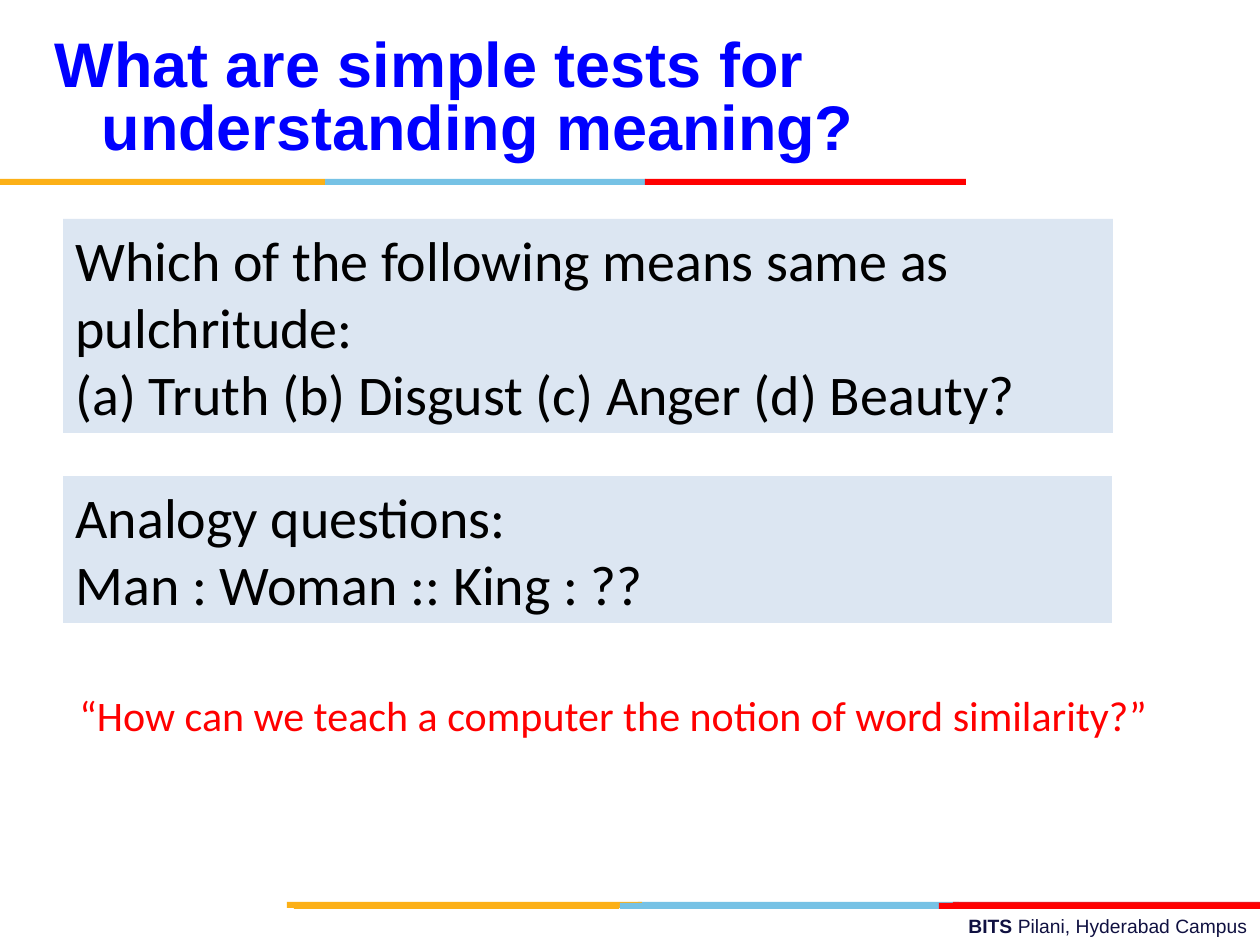
"""Build the slide on simple tests for understanding word meaning."""
from pptx import Presentation, util as u
from pptx.dml.color import RGBColor
from pptx.enum import shapes, text

BLUE = RGBColor(0x00, 0x00, 0xFF)
RED = RGBColor(0xFF, 0x00, 0x00)
CRIMSON = RGBColor(0xE3, 0x1C, 0x24)
SKY = RGBColor(0x76, 0xC2, 0xE5)
AMBER = RGBColor(0xFC, 0xB0, 0x17)
PALE = RGBColor(0xDC, 0xE6, 0xF2)
NAVY = RGBColor(0x10, 0x11, 0x41)
BLACK = RGBColor(0x00, 0x00, 0x00)

PX = 914400 / 126
BAR_HEIGHT = 6

TITLE = "What are simple tests for understanding meaning?"
TITLE_AREA = (42, 21, 872, 158)
TITLE_FONT = dict(name="Arial", size=u.Pt(36), bold=True)
HANGING = 47

BARS = [
    (902, [(638, 321, SKY), (953, 307, CRIMSON), (287, 355, AMBER)]),
    (903, [(620, 321, SKY), (294, 325, AMBER), (939, 321, RED)]),
    (179, [(325, 321, SKY), (0, 325, AMBER), (645, 321, RED)]),
]

QUESTION_FONT = dict(name="Calibri", size=u.Pt(32))
QUOTE_FONT = dict(name="Calibri", size=u.Pt(24))
FOOTER_FONT = dict(name="Arial", size=u.Pt(11))
LEFT, RIGHT = text.PP_ALIGN.LEFT, text.PP_ALIGN.RIGHT
BOXES = [
    ((451, 908, 809, 37), None, FOOTER_FONT, NAVY, RIGHT,
     [[("BITS ", True), ("Pilani, Hyderabad Campus", False)]]),
    ((63, 219, 1050, 214), PALE, QUESTION_FONT, BLACK, LEFT,
     [[("Which of the following means same as pulchritude:", False)],
      [("(a) Truth (b) Disgust (c) Anger (d) Beauty?", False)]]),
    ((63, 476, 1049, 147), PALE, QUESTION_FONT, BLACK, LEFT,
     [[("Analogy questions:", False)], [("Man : Woman :: King : ??", False)]]),
    ((67, 683, 1099, 63), None, QUOTE_FONT, RED, LEFT,
     [[("“How can we teach a computer the notion of word similarity?”", False)]]),
]


def scale(*lengths):
    return [round(length * PX) for length in lengths]


def set_all(target, values):
    for name, value in values.items():
        setattr(target, name, value)


def add_block(page, area, fill):
    block = page.shapes.add_shape(shapes.MSO_SHAPE.RECTANGLE, *scale(*area))
    block.shadow.inherit = False
    block.line.fill.background()
    block.fill.solid()
    block.fill.fore_color.rgb = fill
    return block


def add_words(page, area, fill, font, color, align, lines):
    box = add_block(page, area, fill) if fill else page.shapes.add_textbox(*scale(*area))
    frame = box.text_frame
    set_all(frame, dict(word_wrap=True, vertical_anchor=text.MSO_ANCHOR.TOP))
    for number, line in enumerate(lines):
        para = frame.add_paragraph() if number else frame.paragraphs[0]
        para.alignment = align
        for words, bold in line:
            span = para.add_run()
            span.text = words
            set_all(span.font, dict(font, bold=bold))
            span.font.color.rgb = color


def set_title(page):
    title = page.shapes.title
    set_all(title, dict(zip(("left", "top", "width", "height"), scale(*TITLE_AREA))))
    frame = title.text_frame
    frame.text = TITLE
    set_all(frame, dict(word_wrap=True, auto_size=text.MSO_AUTO_SIZE.NONE,
                        vertical_anchor=text.MSO_ANCHOR.MIDDLE))
    para = frame.paragraphs[0]
    set_all(para, dict(alignment=LEFT, line_spacing=u.Pt(36)))
    indent, = scale(HANGING)
    properties = para._p.get_or_add_pPr()
    properties.set("marL", str(indent))
    properties.set("indent", str(-indent))
    span = para.runs[0]
    set_all(span.font, TITLE_FONT)
    span.font.color.rgb = BLUE


def main():
    deck = Presentation()
    set_all(deck, dict(slide_width=u.Inches(10), slide_height=u.Inches(7.5)))
    page = deck.slides.add_slide(deck.slide_layouts.get_by_name("Title Only"))
    for top, bars in BARS:
        for left, width, color in bars:
            add_block(page, (left, top, width, BAR_HEIGHT), color)
    set_title(page)
    for box in BOXES:
        add_words(page, *box)
    deck.save("out.pptx")


if __name__ == "__main__":
    main()
